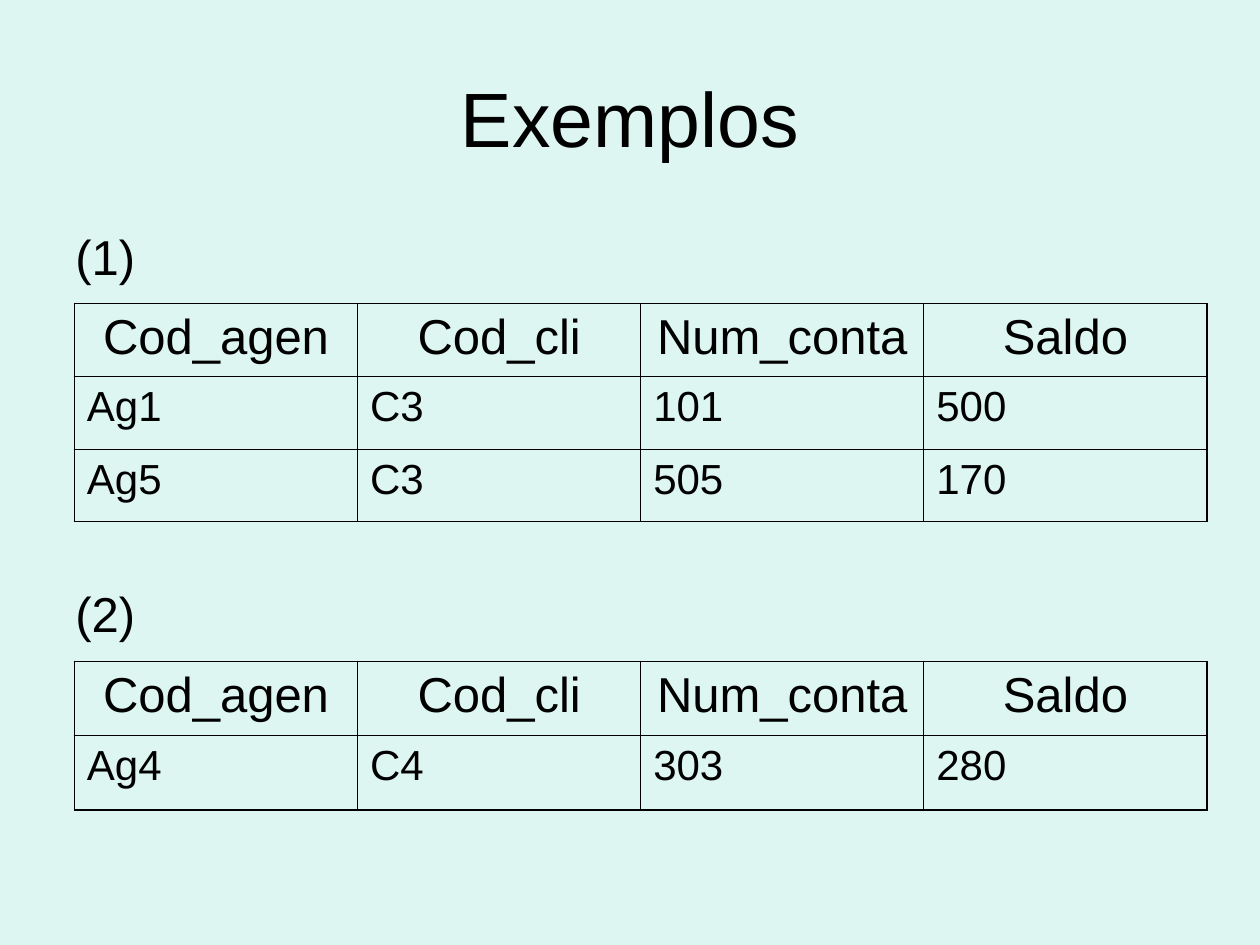
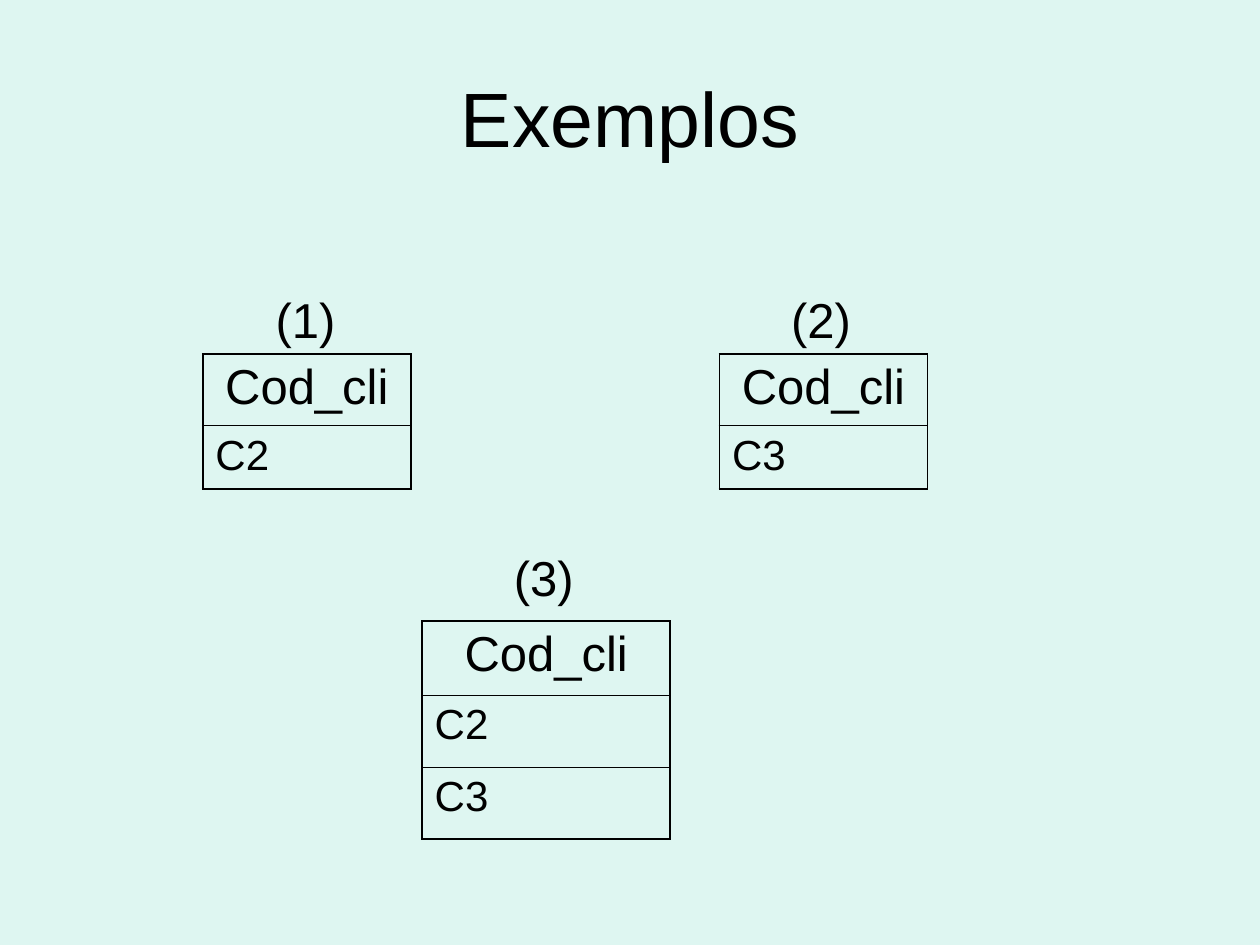
from dataclasses import dataclass
from typing import Any

from lxml import etree
from pptx import Presentation
from pptx.dml.color import RGBColor
from pptx.enum.text import MSO_ANCHOR, MSO_AUTO_SIZE, PP_ALIGN
from pptx.oxml.ns import qn
from pptx.util import Emu, Pt

LEFT, CENTER = PP_ALIGN.LEFT, PP_ALIGN.CENTER
MIDDLE = MSO_ANCHOR.MIDDLE
FIXED_SIZE = MSO_AUTO_SIZE.NONE
TITLE_ONLY_LAYOUT = 5
EMU_PER_PX = 9144


@dataclass(frozen=True)
class Theme:
    background: RGBColor = RGBColor(0xDE, 0xF6, 0xF1)
    ink: RGBColor = RGBColor(0, 0, 0)
    font: str = "Arial"
    title_size: int = 44
    header_size: int = 28
    value_size: int = 24
    outer_border: float = 1.08
    inner_border: float = 0.45


@dataclass(frozen=True)
class Relation:
    """A numbered result table; lengths are in px, 100 to the inch."""
    number: int
    label_left: int
    label_top: int
    left: int
    top: int
    width: int
    row_heights: tuple[int, ...]
    rows: tuple[tuple[str, ...], ...]


THEME = Theme()
SLIDE_WIDTH, SLIDE_HEIGHT = 1000, 750
TITLE_BOX = (50, 30, 900, 125)
LABEL_SIZE = (80, 57)

ACCOUNT_HEADER = ("Cod_agen", "Cod_cli", "Num_conta", "Saldo")
CLIENT_HEADER = ("Cod_cli",)

ACCOUNTS = (
    Relation(1, 50, 175, 59, 241, 899, (58, 58, 57),
             (ACCOUNT_HEADER, ("Ag1", "C3", "101", "500"), ("Ag5", "C3", "505", "170"))),
    Relation(2, 50, 458, 59, 525, 899, (59, 59),
             (ACCOUNT_HEADER, ("Ag4", "C4", "303", "280"))),
)
CLIENTS = (
    Relation(1, 209, 225, 161, 281, 165, (57, 50), (CLIENT_HEADER, ("C2",))),
    Relation(2, 618, 225, 571, 281, 165, (57, 50), (CLIENT_HEADER, ("C3",))),
    Relation(3, 398, 430, 335, 493, 197, (59, 57, 57),
             (CLIENT_HEADER, ("C2",), ("C3",))),
)


def px(length: int) -> Emu:
    return Emu(length * EMU_PER_PX)


def set_all(target: Any, values: dict[str, Any]) -> None:
    for attribute, value in values.items():
        setattr(target, attribute, value)


def write(frame: Any, text: str, size: int, alignment: PP_ALIGN) -> None:
    paragraph = frame.paragraphs[0]
    paragraph.text = text
    paragraph.alignment = alignment
    set_all(paragraph.font, {"name": THEME.font, "size": Pt(size), "bold": False})
    paragraph.font.color.rgb = THEME.ink


def draw_borders(cell: Any, outer_edges: dict[str, bool]) -> None:
    """Draw each edge, heavier where it lies on the rim of the table."""
    properties = cell._tc.get_or_add_tcPr()
    for position, (edge, is_outer) in enumerate(outer_edges.items()):
        width = THEME.outer_border if is_outer else THEME.inner_border
        line = etree.Element(qn(f"a:{edge}"), w=str(Pt(width)))
        fill = etree.SubElement(line, qn("a:solidFill"))
        etree.SubElement(fill, qn("a:srgbClr"), val=str(THEME.ink))
        properties.insert(position, line)


def add_title(slide: Any, text: str) -> None:
    title = slide.shapes.title
    set_all(title, dict(zip(("left", "top", "width", "height"), map(px, TITLE_BOX))))
    set_all(title.text_frame, {"vertical_anchor": MIDDLE, "auto_size": FIXED_SIZE})
    write(title.text_frame, text, THEME.title_size, CENTER)


def add_label(slide: Any, relation: Relation) -> None:
    box = (relation.label_left, relation.label_top, *LABEL_SIZE)
    frame = slide.shapes.add_textbox(*map(px, box)).text_frame
    set_all(frame, {"word_wrap": True, "auto_size": FIXED_SIZE})
    write(frame, f"({relation.number})", THEME.header_size, LEFT)


def add_relation(slide: Any, relation: Relation) -> None:
    row_count, column_count = len(relation.rows), len(relation.rows[0])
    box = (relation.left, relation.top, relation.width, sum(relation.row_heights))
    table = slide.shapes.add_table(row_count, column_count, *map(px, box)).table
    set_all(table, {"first_row": False, "horz_banding": False})
    for row, height in zip(table.rows, relation.row_heights):
        row.height = px(height)
    for r, values in enumerate(relation.rows):
        size, alignment = (THEME.value_size, LEFT) if r else (THEME.header_size, CENTER)
        for c, value in enumerate(values):
            cell = table.cell(r, c)
            cell.fill.background()
            write(cell.text_frame, value, size, alignment)
            draw_borders(cell, {"lnL": c == 0, "lnR": c == column_count - 1,
                                "lnT": r == 0, "lnB": r == row_count - 1})


def main() -> None:
    deck = Presentation()
    set_all(deck, {"slide_width": px(SLIDE_WIDTH), "slide_height": px(SLIDE_HEIGHT)})
    background = deck.slide_master.background.fill
    background.solid()
    background.fore_color.rgb = THEME.background
    for relations in (ACCOUNTS, CLIENTS):
        slide = deck.slides.add_slide(deck.slide_layouts[TITLE_ONLY_LAYOUT])
        add_title(slide, "Exemplos")
        for relation in relations:
            add_label(slide, relation)
            add_relation(slide, relation)
    deck.save("out.pptx")


if __name__ == "__main__":
    main()
